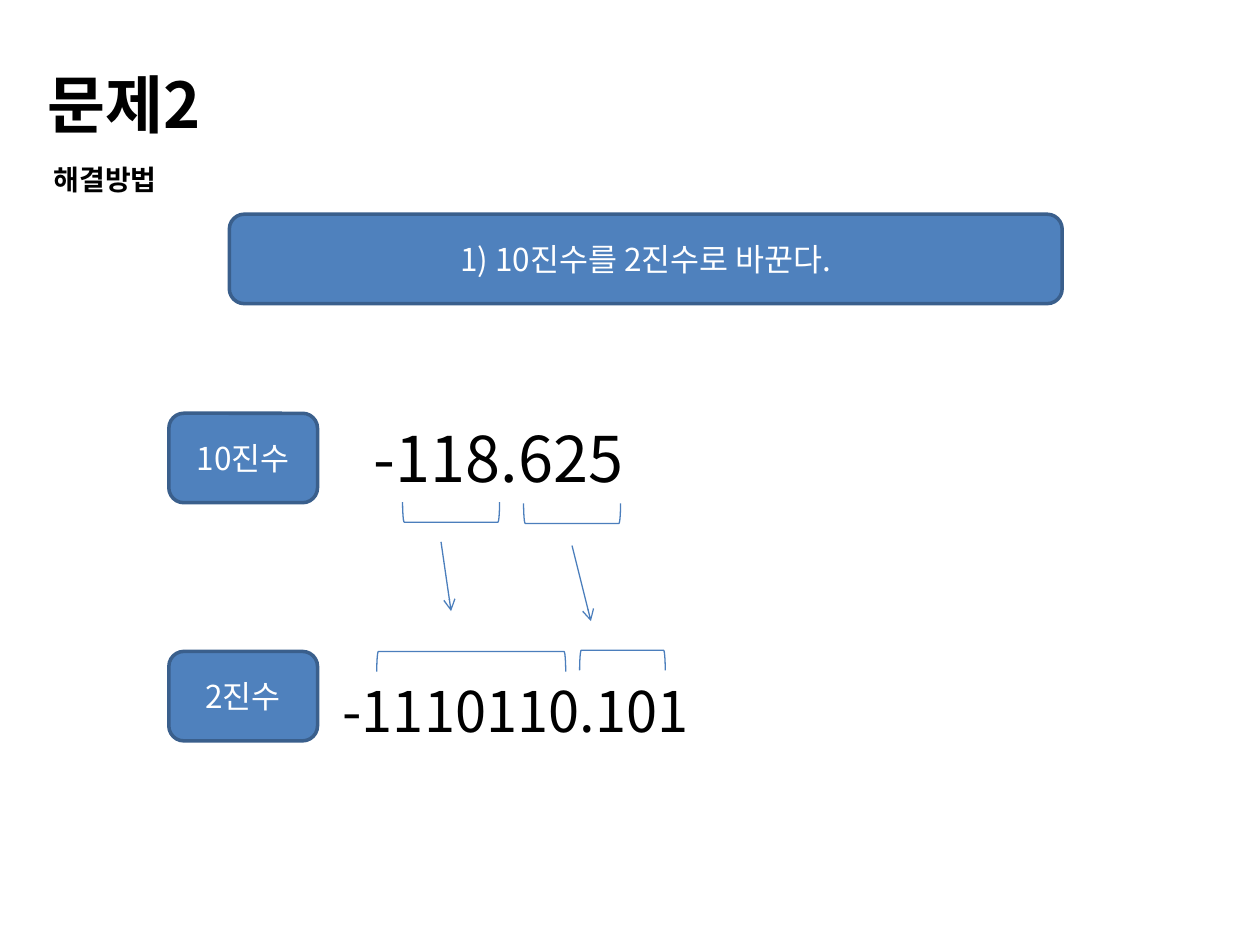
"""Build the slide that turns a decimal number into a binary one."""
from lxml import etree
from pptx import Presentation
from pptx.dml.color import RGBColor
from pptx.enum import shapes, text
from pptx.oxml import ns
from pptx.util import Inches, Pt

FONT = "Noto Sans CJK KR"
BLACK = RGBColor(0x00, 0x00, 0x00)
WHITE = RGBColor(0xFF, 0xFF, 0xFF)
BLUE = RGBColor(0x4F, 0x81, 0xBD)
BORDER = RGBColor(0x3A, 0x5F, 0x8C)
STROKE = RGBColor(0x4B, 0x7E, 0xBC)

HEADINGS = [
    ("문제2", (0.28, 0.17, 9.53, 0.89), 36),
    ("해결방법", (0.33, 1.11, 1.17, 0.45), 16),
]
NUMBERS = [
    ("-118.625", (2.87, 3.28, 3.34, 0.71), 36, True),
    ("-1110110.101", (2.62, 5.32, 2.96, 0.64), 32, False),
]
BOXES = [
    ("1) 10진수를 2진수로 바꾼다.", 1.82, 1.7, 6.61),
    ("10진수", 1.34, 3.28, 1.18),
    ("2진수", 1.34, 5.17, 1.18),
]
BOX_HEIGHT = 0.71
BRACKETS = [
    (3.5, 3.68, 0.77, 90),
    (4.46, 3.69, 0.77, 90),
    (3.66, 4.5, 1.5, 270),
    (4.86, 4.9, 0.68, 270),
]
BRACKET_DEPTH = 0.16
ARROWS = [
    (3.5, 4.3, 3.58, 4.85),
    (4.54, 4.33, 4.69, 4.93),
]


def write(tf, content, size, color=BLACK, bold=False, spacing=None, align=None, wrap=True):
    """Put one formatted paragraph into a text frame."""
    tf.word_wrap = wrap
    p = tf.paragraphs[0]
    p.line_spacing, p.alignment = spacing, align
    r = p.add_run()
    r.text = content
    r.font.name, r.font.size, r.font.bold = FONT, Pt(size), bold
    r.font.color.rgb = color
    etree.SubElement(r.font._element, ns.qn("a:ea"), typeface=FONT)


def add_text(s, content, at, size, **fmt):
    """Add a text box that grows with its text."""
    tf = s.shapes.add_textbox(*map(Inches, at)).text_frame
    write(tf, content, size, **fmt)
    tf.auto_size = text.MSO_AUTO_SIZE.SHAPE_TO_FIT_TEXT


def add_outlined(s, kind, at, color, width):
    """Add a preset shape with an outline and no shadow."""
    sp = s.shapes.add_shape(kind, *map(Inches, at))
    sp.shadow.inherit = False
    sp.line.color.rgb, sp.line.width = color, Pt(width)
    return sp


def add_box(s, content, left, top, width):
    """Add a blue rounded box with a centred label."""
    at = (left, top, width, BOX_HEIGHT)
    sp = add_outlined(s, shapes.MSO_SHAPE.ROUNDED_RECTANGLE, at, BORDER, 2)
    sp.fill.solid()
    sp.fill.fore_color.rgb = BLUE
    sp.text_frame.vertical_anchor = text.MSO_ANCHOR.MIDDLE
    write(sp.text_frame, content, 18, color=WHITE, align=text.PP_ALIGN.CENTER)


def add_bracket(s, left, top, span, rotation):
    """Add a bracket turned to lie along a group of digits."""
    at = (left, top, BRACKET_DEPTH, span)
    sp = add_outlined(s, shapes.MSO_SHAPE.RIGHT_BRACKET, at, STROKE, 0.75)
    sp.fill.background()
    sp.rotation = rotation


def add_arrow(s, *ends):
    """Add a thin line with an open arrowhead at its end."""
    c = s.shapes.add_connector(shapes.MSO_CONNECTOR.STRAIGHT, *map(Inches, ends))
    c.line.color.rgb, c.line.width = STROKE, Pt(0.75)
    etree.SubElement(c.line._get_or_add_ln(), ns.qn("a:tailEnd"), type="arrow")
    etree.SubElement(c._element.spPr, ns.qn("a:effectLst"))


def main():
    """Lay out the slide and save it."""
    prs = Presentation()
    prs.slide_width, prs.slide_height = Inches(10), Inches(7.5)
    s = prs.slides.add_slide(prs.slide_layouts[6])
    for content, at, size in HEADINGS:
        add_text(s, content, at, size, bold=True, spacing=1.5)
    for content, at, size, wrap in NUMBERS:
        add_text(s, content, at, size, wrap=wrap)
    for bracket in BRACKETS:
        add_bracket(s, *bracket)
    for arrow in ARROWS:
        add_arrow(s, *arrow)
    for box in BOXES:
        add_box(s, *box)
    prs.save("out.pptx")


if __name__ == "__main__":
    main()
